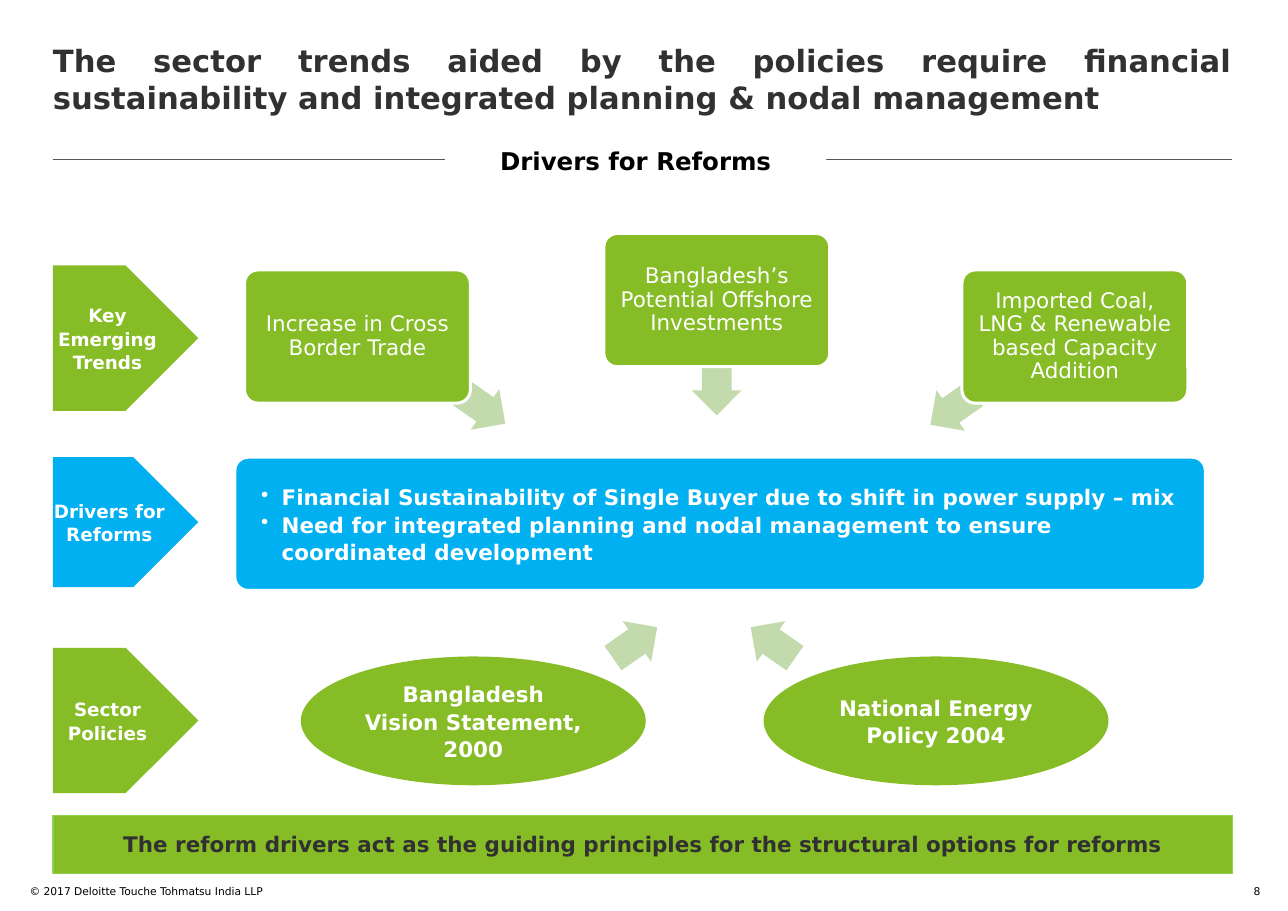
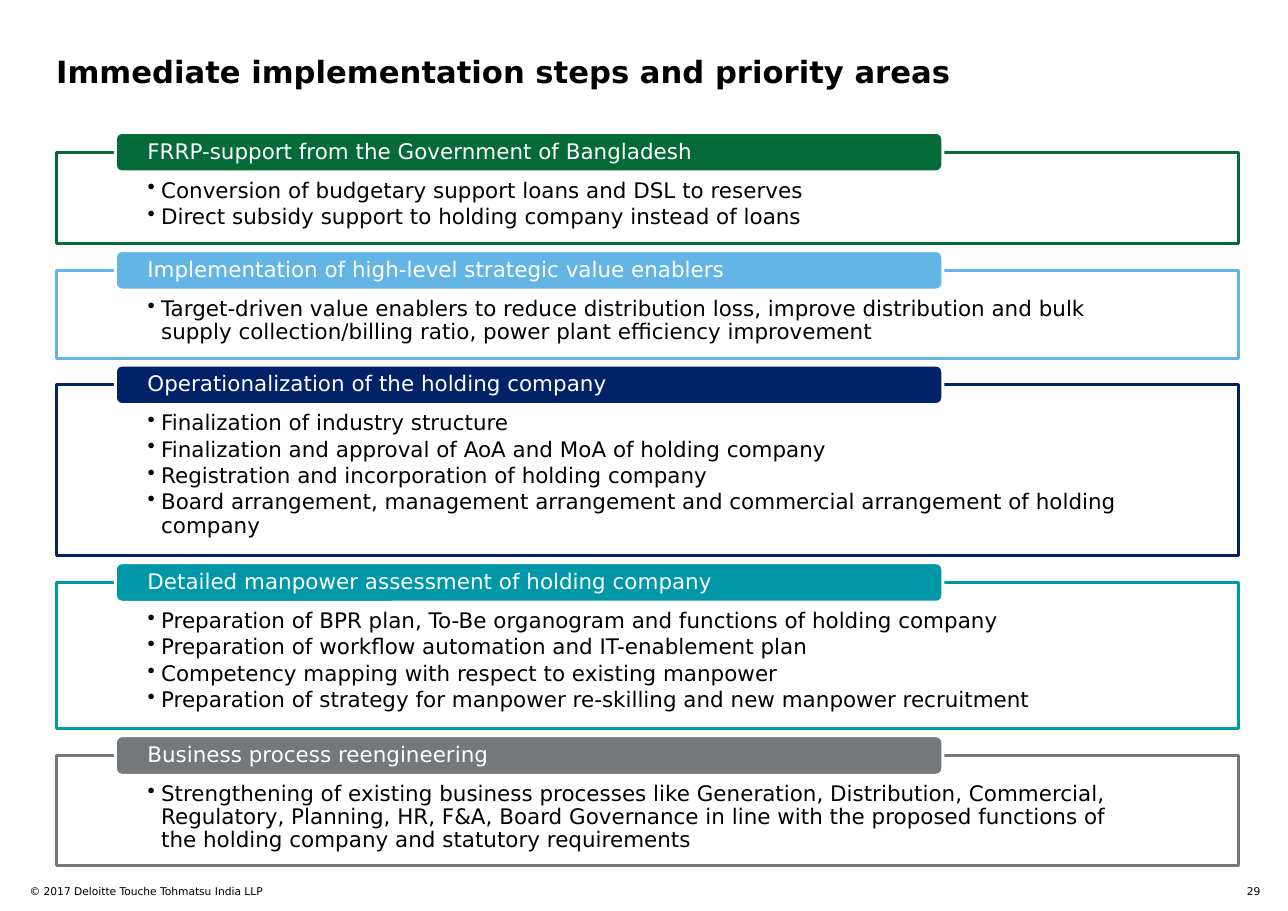
from dataclasses import dataclass

from lxml import etree
from pptx import Presentation
from pptx.dml.color import RGBColor
from pptx.enum.shapes import MSO_CONNECTOR, MSO_SHAPE
from pptx.enum.text import MSO_ANCHOR, PP_ALIGN
from pptx.oxml.ns import qn
from pptx.util import Pt

LEFT, MID, RIGHT, FULL = PP_ALIGN.LEFT, PP_ALIGN.CENTER, PP_ALIGN.RIGHT, PP_ALIGN.JUSTIFY
TOP, HALF = MSO_ANCHOR.TOP, MSO_ANCHOR.MIDDLE
RECT, ROUND, OVAL = MSO_SHAPE.RECTANGLE, MSO_SHAPE.ROUNDED_RECTANGLE, MSO_SHAPE.OVAL
PLATE, ARROW = MSO_SHAPE.PENTAGON, MSO_SHAPE.RIGHT_ARROW
STRAIGHT = MSO_CONNECTOR.STRAIGHT


@dataclass(frozen=True)
class Theme:
    font: str = "DejaVu Sans"
    white: str = "FFFFFF"
    black: str = "000000"
    ink: str = "313131"
    rule: str = "53565A"
    green: str = "86BC25"
    lime: str = "92D050"
    pale: str = "C3DAAD"
    blue: str = "00B0F0"
    forest: str = "046A38"
    sky: str = "62B5E5"
    navy: str = "012169"
    teal: str = "0097A9"
    gray: str = "75787B"
    title: int = 20
    head: int = 16
    body: int = 14
    label: int = 12
    note: int = 7


THEME = Theme()


def color(code):
    return RGBColor.from_string(code)


def write(shape, text, size=THEME.body, tint=THEME.white, bold=False, align=LEFT,
          anchor=TOP, pad=(0, 0, 0, 0), lead=1.0, after=0, hang=0):
    frame = shape.text_frame
    frame.word_wrap = True
    frame.vertical_anchor = anchor
    (frame.margin_left, frame.margin_top,
     frame.margin_right, frame.margin_bottom) = map(Pt, pad)
    lines = [text] if isinstance(text, str) else text
    for i, line in enumerate(lines):
        para = frame.add_paragraph() if i else frame.paragraphs[0]
        if hang:
            props = para._p.get_or_add_pPr()
            props.set("marL", str(Pt(hang)))
            props.set("indent", str(-Pt(hang)))
            etree.SubElement(props, qn("a:buChar")).set("char", "•")
        para.alignment = align
        para.line_spacing = lead
        para.space_after = Pt(after)
        run = para.add_run()
        run.text = line
        font = run.font
        font.name, font.size, font.bold = THEME.font, Pt(size), bold
        font.color.rgb = color(tint)


class Deck:
    def __init__(self, wide, high):
        self.file = Presentation()
        self.file.slide_width, self.file.slide_height = Pt(wide), Pt(high)
        self.slide = None

    def page(self, number):
        self.slide = self.file.slides.add_slide(self.file.slide_layouts[6])
        self.text((19.4, 578.2, 369.4, 17), "© 2017 Deloitte Touche Tohmatsu India LLP",
                  size=THEME.note, tint=THEME.black)
        self.text((802, 578.2, 21.6, 9), number,
                  size=THEME.note, tint=THEME.black, align=RIGHT)

    def text(self, box, text, **form):
        shape = self.slide.shapes.add_textbox(*map(Pt, box))
        write(shape, text, **form)

    def title(self, box, text, **form):
        self.text(box, text, size=THEME.title, bold=True, **form)

    def shape(self, kind, box, fill, line=None, width=2, text=None, turn=0, adjust=(), **form):
        shape = self.slide.shapes.add_shape(kind, *map(Pt, box))
        shape.shadow.inherit = False
        shape.rotation = turn
        for i, value in enumerate(adjust):
            shape.adjustments[i] = value
        shape.fill.solid()
        shape.fill.fore_color.rgb = color(fill)
        if line:
            shape.line.color.rgb = color(line)
            shape.line.width = Pt(width)
        else:
            shape.line.fill.background()
        if text:
            write(shape, text, **form)

    def line(self, left, right, y):
        link = self.slide.shapes.add_connector(STRAIGHT, Pt(left), Pt(y), Pt(right), Pt(y))
        link.line.color.rgb = color(THEME.rule)
        link.line.width = Pt(0.75)
        etree.SubElement(link._element.spPr, qn("a:effectLst"))

    def arrow(self, left, top, turn):
        self.shape(ARROW, (left, top, 35.3, 32.4), THEME.pale, turn=turn, adjust=(0.6, 0.5))

    def card(self, left, top, text):
        self.shape(ROUND, (left, top, 147.6, 87.1), THEME.green, THEME.white, text=text,
                   adjust=(0.1,), align=MID, anchor=HALF, pad=(3.2,) * 4, lead=0.9)

    def stage(self, top, high, fill, text):
        self.shape(PLATE, (34.6, top, 95, high), fill, text=text, size=THEME.label,
                   bold=True, align=MID, anchor=HALF, pad=(0, 7.2, 0, 7.2), lead=1.06)

    def policy(self, left, text):
        self.shape(OVAL, (left, 429.1, 225.4, 84.2), THEME.green, text=text, bold=True,
                   align=MID, anchor=HALF, pad=(7.2,) * 4, lead=1.06)

    def step(self, top, high, tint, head, items):
        self.shape(RECT, (36.7, top, 772.6, high), THEME.white, tint, text=items,
                   tint=THEME.black, pad=(59.8, 18, 59.8, 7.9), lead=0.9, after=2.1, hang=8.8)
        self.shape(ROUND, (75.4, top - 12.9, 540.8, 25.9), tint, THEME.white, text=head,
                   anchor=HALF, pad=(19.7, 0, 19.7, 0), lead=0.9)


def drivers(deck):
    deck.page("8")
    deck.title((34.6, 27.6, 770.4, 28.8),
               "The sector trends aided by the policies require financial sustainability "
               "and integrated planning & nodal management", tint=THEME.ink, align=FULL)
    deck.line(34.6, 805, 104.4)
    deck.shape(RECT, (290.9, 87.8, 249.1, 33.8), THEME.white, text="Drivers for Reforms",
               size=THEME.head, tint=THEME.black, bold=True, align=MID, anchor=HALF,
               pad=(7.2,) * 4, lead=1.06)
    for left, top, turn in ((298.1, 250.6, 35), (450.7, 237.6, 90), (604.8, 251.3, 145),
                            (397.4, 403.9, 325), (487.4, 403.9, 215)):
        deck.arrow(left, top, turn)
    for left, top, text in (
            (159.8, 176.4, "Increase in Cross Border Trade"),
            (394.6, 152.6, "Bangladesh’s Potential Offshore Investments"),
            (628.6, 176.4, "Imported Coal, LNG & Renewable based Capacity Addition")):
        deck.card(left, top, text)
    deck.shape(ROUND, (153.4, 298.8, 634.3, 87.1), THEME.blue, THEME.white, text=[
        "Financial Sustainability of Single Buyer due to shift in power supply – mix",
        "Need for integrated planning and nodal management to ensure coordinated development",
    ], adjust=(0.1,), bold=True, anchor=HALF, pad=(14.6, 2, 14.2, 2), lead=1.06, hang=13.5)
    deck.policy(196.6, "Bangladesh Vision Statement, 2000")
    deck.policy(499, "National Energy Policy 2004")
    for top, high, fill, text in ((173.5, 95, THEME.green, "Key Emerging Trends"),
                                  (298.8, 85, THEME.blue, "Drivers for Reforms"),
                                  (423.4, 95, THEME.green, "Sector Policies")):
        deck.stage(top, high, fill, text)
    deck.shape(RECT, (34.6, 532.8, 771.1, 38.2), THEME.green, THEME.lime, 0.75,
               text="The reform drivers act as the guiding principles for the structural "
                    "options for reforms",
               tint=THEME.ink, bold=True, align=MID, anchor=HALF, pad=(2.9, 0, 2.9, 0))


def steps(deck):
    deck.page("29")
    deck.title((36.7, 34.6, 772.6, 59.8),
               "Immediate implementation steps and priority areas", tint=THEME.black)
    top, gap = 99.4, 17.4
    for high, tint, head, items in (
            (59.9, THEME.forest, "FRRP-support from the Government of Bangladesh", [
                "Conversion of budgetary support loans and DSL to reserves",
                "Direct subsidy support to holding company instead of loans"]),
            (57.4, THEME.sky, "Implementation of high-level strategic value enablers", [
                "Target-driven value enablers to reduce distribution loss, improve "
                "distribution and bulk supply collection/billing ratio, power plant "
                "efficiency improvement"]),
            (111.8, THEME.navy, "Operationalization of the holding company", [
                "Finalization of industry structure",
                "Finalization and approval of AoA and MoA of holding company",
                "Registration and incorporation of holding company",
                "Board arrangement, management arrangement and commercial arrangement "
                "of holding company"]),
            (95.7, THEME.teal, "Detailed manpower assessment of holding company", [
                "Preparation of BPR plan, To-Be organogram and functions of holding company",
                "Preparation of workflow automation and IT-enablement plan",
                "Competency mapping with respect to existing manpower",
                "Preparation of strategy for manpower re-skilling and new manpower "
                "recruitment"]),
            (72, THEME.gray, "Business process reengineering", [
                "Strengthening of existing business processes like Generation, Distribution, "
                "Commercial, Regulatory, Planning, HR, F&A, Board Governance in line with the "
                "proposed functions of the holding company and statutory requirements"])):
        deck.step(top, high, tint, head, items)
        top += high + gap


def main():
    deck = Deck(841.68, 595.44)
    drivers(deck)
    steps(deck)
    deck.file.save("out.pptx")


if __name__ == "__main__":
    main()
